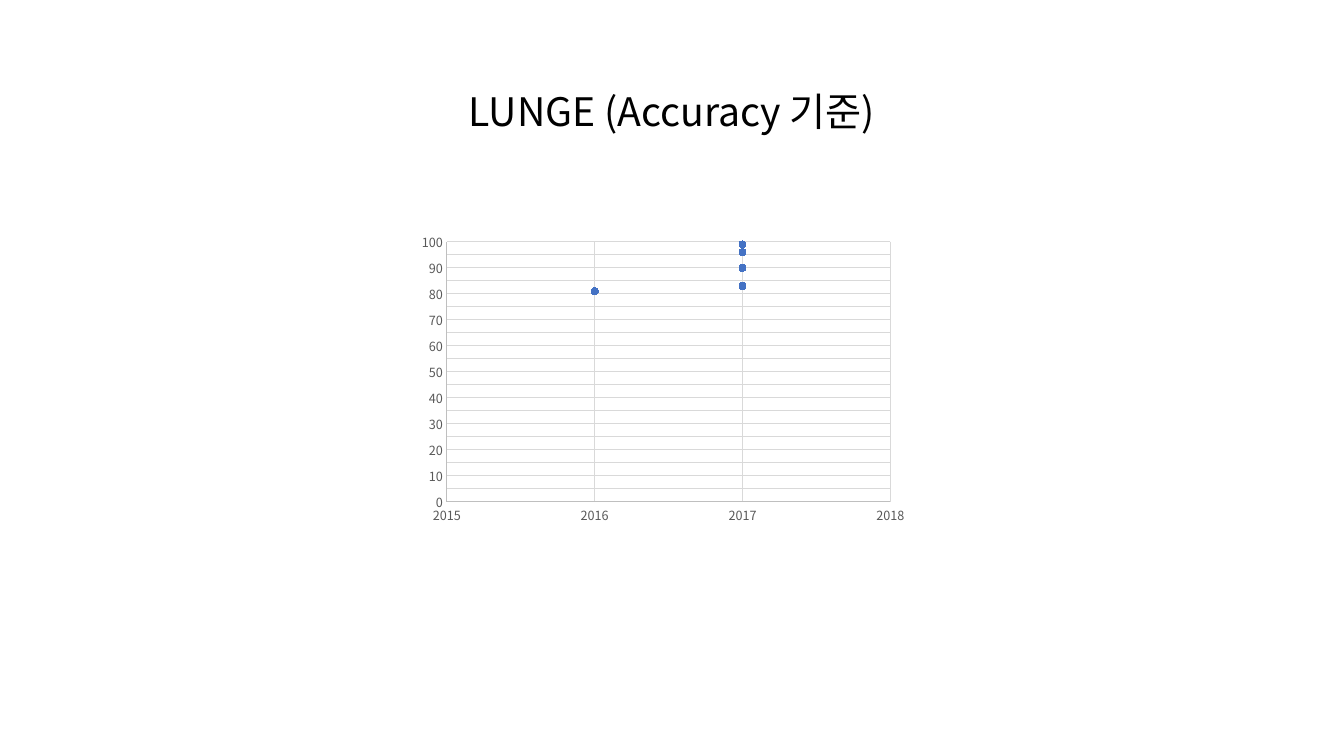
from dataclasses import dataclass

from lxml import etree
from pptx import Presentation
from pptx.chart.data import XyChartData
from pptx.dml.color import RGBColor
from pptx.enum.chart import XL_CHART_TYPE, XL_MARKER_STYLE, XL_TICK_MARK
from pptx.enum.text import MSO_ANCHOR, PP_ALIGN
from pptx.oxml.ns import qn
from pptx.util import Inches, Pt

SCATTER = XL_CHART_TYPE.XY_SCATTER
CIRCLE = XL_MARKER_STYLE.CIRCLE
NO_TICK = XL_TICK_MARK.NONE
MIDDLE = MSO_ANCHOR.MIDDLE
CENTER = PP_ALIGN.CENTER

TITLE_ONLY = 5
COLUMNS, ROWS = 16, 9
ACCURACY_BY_YEAR = [(2016, 81), (2017, 99), (2017, 96), (2017, 83), (2017, 90)]


@dataclass(frozen=True)
class Theme:
    font: str = "Noto Sans CJK KR"
    text: RGBColor = RGBColor(0x00, 0x00, 0x00)
    label: RGBColor = RGBColor(0x59, 0x59, 0x59)
    axis: RGBColor = RGBColor(0xBF, 0xBF, 0xBF)
    grid: RGBColor = RGBColor(0xD9, 0xD9, 0xD9)
    accent: RGBColor = RGBColor(0x44, 0x72, 0xC4)
    title_size: int = 28
    chart_size: int = 10
    label_size: int = 9
    line_width: float = 0.75
    marker_size: int = 5


class SlideBuilder:
    """Places elements on one slide, measured in grid columns and rows."""

    def __init__(self, presentation, theme):
        self.theme = theme
        self.column = presentation.slide_width / COLUMNS
        self.row = presentation.slide_height / ROWS
        self.slide = presentation.slides.add_slide(
            presentation.slide_layouts[TITLE_ONLY])

    def box(self, left, top, width, height):
        return (round(left * self.column), round(top * self.row),
                round(width * self.column), round(height * self.row))

    def style_font(self, font, size, color):
        font.name = self.theme.font
        font.size = Pt(size)
        font.color.rgb = color

    def style_line(self, line, color):
        line.color.rgb = color
        line.width = Pt(self.theme.line_width)

    def title(self, text, *place):
        shape = self.slide.shapes.title
        shape.left, shape.top, shape.width, shape.height = self.box(*place)
        frame = shape.text_frame
        frame.text = text
        frame.vertical_anchor = MIDDLE
        paragraph = frame.paragraphs[0]
        paragraph.alignment = CENTER
        paragraph.line_spacing = 0.9
        run = paragraph.runs[0]
        self.style_font(run.font, self.theme.title_size, self.theme.text)
        latin = run.font._element.find(qn("a:latin"))
        east_asian = etree.Element(qn("a:ea"), typeface=self.theme.font)
        latin.addnext(east_asian)

    def style_axis(self, axis, maximum, step):
        axis.maximum_scale = maximum
        axis.major_unit = step
        axis.major_tick_mark = axis.minor_tick_mark = NO_TICK
        axis.has_major_gridlines = True
        self.style_line(axis.major_gridlines.format.line, self.theme.grid)
        self.style_line(axis.format.line, self.theme.axis)
        labels = axis.tick_labels
        labels.number_format = "General"
        labels.number_format_is_linked = False
        self.style_font(labels.font, self.theme.label_size, self.theme.label)

    def set_plot_area(self, chart, **shares):
        """Fix the inner plot area, in shares of the chart's size."""
        plot_area = chart._chartSpace.chart.plotArea
        for old_layout in plot_area.findall(qn("c:layout")):
            plot_area.remove(old_layout)
        layout = etree.Element(qn("c:layout"))
        manual = etree.SubElement(layout, qn("c:manualLayout"))
        settings = {"layoutTarget": "inner", "xMode": "edge", "yMode": "edge", **shares}
        for name, value in settings.items():
            etree.SubElement(manual, qn(f"c:{name}"), val=str(value))
        plot_area.insert(0, layout)

    def scatter(self, points, *place):
        data = XyChartData()
        series_data = data.add_series("Series 1")
        for year, accuracy in points:
            series_data.add_data_point(year, accuracy)
        chart = self.slide.shapes.add_chart(SCATTER, *self.box(*place), data).chart
        chart.has_title = False
        chart.has_legend = False
        self.style_font(chart.font, self.theme.chart_size, self.theme.text)
        self.style_axis(chart.category_axis, 2018, 1)
        chart.category_axis.minimum_scale = 2015
        self.style_axis(chart.value_axis, 100, 5)
        chart.plots[0].vary_by_categories = False

        series = chart.plots[0].series[0]
        series.format.line.fill.background()
        marker = series.marker
        marker.style = CIRCLE
        marker.size = self.theme.marker_size
        marker.format.fill.solid()
        marker.format.fill.fore_color.rgb = self.theme.accent
        self.style_line(marker.format.line, self.theme.accent)
        self.set_plot_area(chart, x=0.07, y=0.05, w=0.88, h=0.86)


def main():
    presentation = Presentation()
    presentation.slide_width = Inches(13.33)
    presentation.slide_height = Inches(7.5)
    builder = SlideBuilder(presentation, Theme())
    builder.scatter(ACCURACY_BY_YEAR, 4.9, 2.7, 6, 3.6)
    builder.title("LUNGE (Accuracy 기준)", 1.1, 0.48, 13.8, 1.74)
    presentation.save("out.pptx")


if __name__ == "__main__":
    main()
